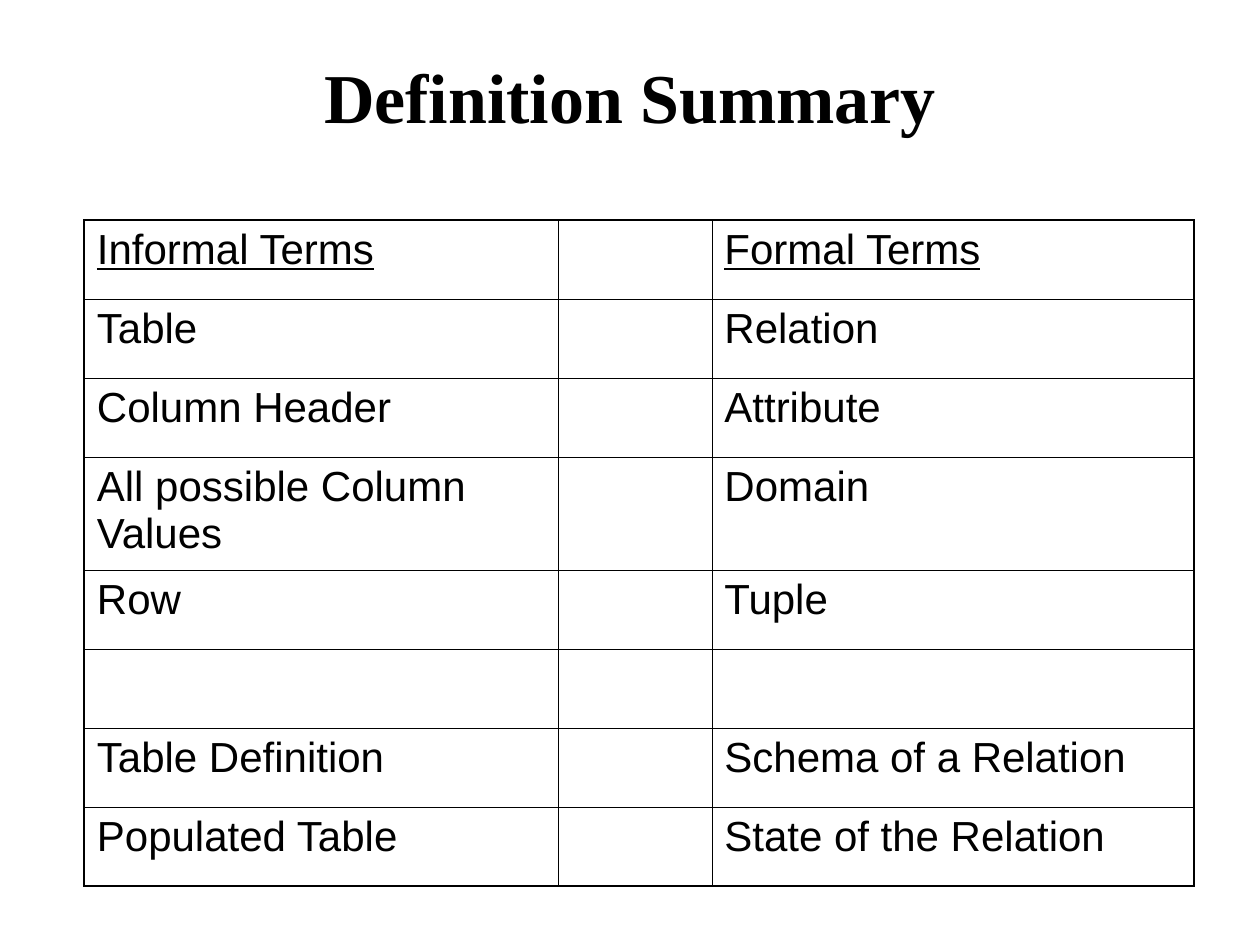
from lxml import etree
from pptx import Presentation
from pptx import util as u
from pptx.dml import color
from pptx.enum import text
from pptx.oxml import ns

BLACK = "000000"
THIN, THICK = 0.45, 1.08
ROW_HEIGHT, TALL_ROW_HEIGHT = 1.59, 2.29
COLUMN_WIDTHS = [9.55, 3.1, 9.72]
TERMS = [
    ("Informal Terms", "Formal Terms"),
    ("Table", "Relation"),
    ("Column Header", "Attribute"),
    ("All possible Column Values", "Domain"),
    ("Row", "Tuple"),
    ("", ""),
    ("Table Definition", "Schema of a Relation"),
    ("Populated Table", "State of the Relation"),
]


def set_font(paragraph, name, size):
    paragraph.font.name = name
    paragraph.font.size = u.Pt(size)
    paragraph.font.color.rgb = color.RGBColor.from_string(BLACK)


def add_border(cell, side, points):
    """Draw one solid cell edge; side is L, R, T or B, added in that order."""
    properties = cell._tc.get_or_add_tcPr()
    line = etree.SubElement(properties, ns.qn(f"a:ln{side}"), w=str(u.Pt(points)))
    fill = etree.SubElement(line, ns.qn("a:solidFill"))
    etree.SubElement(fill, ns.qn("a:srgbClr"), val=BLACK)


presentation = Presentation()
presentation.slide_width = u.Cm(25.4)
presentation.slide_height = u.Cm(19.05)
slide = presentation.slides.add_slide(presentation.slide_layouts[6])

title = slide.shapes.add_textbox(u.Cm(1.9), u.Cm(1.07), u.Cm(21.6), u.Cm(1.7))
title.text_frame.word_wrap = True
title.text_frame.vertical_anchor = text.MSO_ANCHOR.MIDDLE
paragraph = title.text_frame.paragraphs[0]
paragraph.text = "Definition Summary"
paragraph.alignment = text.PP_ALIGN.CENTER
set_font(paragraph, "Times New Roman", 40)
paragraph.font.bold = True

heights = [TALL_ROW_HEIGHT if "possible" in informal else ROW_HEIGHT
           for informal, formal in TERMS]
table = slide.shapes.add_table(
    len(TERMS), len(COLUMN_WIDTHS), u.Cm(1.7), u.Cm(4.44),
    u.Cm(sum(COLUMN_WIDTHS)), u.Cm(sum(heights))).table
table.first_row = False
table.horz_banding = False
for column, width in zip(table.columns, COLUMN_WIDTHS):
    column.width = u.Cm(width)

last_row, last_column = len(TERMS) - 1, len(COLUMN_WIDTHS) - 1
for row, (informal, formal) in enumerate(TERMS):
    table.rows[row].height = u.Cm(heights[row])
    for column, term in enumerate((informal, "", formal)):
        cell = table.cell(row, column)
        outer_edges = {"L": column == 0, "R": column == last_column,
                       "T": row == 0, "B": row == last_row}
        for side, is_outer in outer_edges.items():
            add_border(cell, side, THICK if is_outer else THIN)
        cell.fill.background()
        paragraph = cell.text_frame.paragraphs[0]
        if term:
            paragraph.text = term
        set_font(paragraph, "Arial", 24)
        if row == 0:
            paragraph.font.underline = True

presentation.save("out.pptx")
